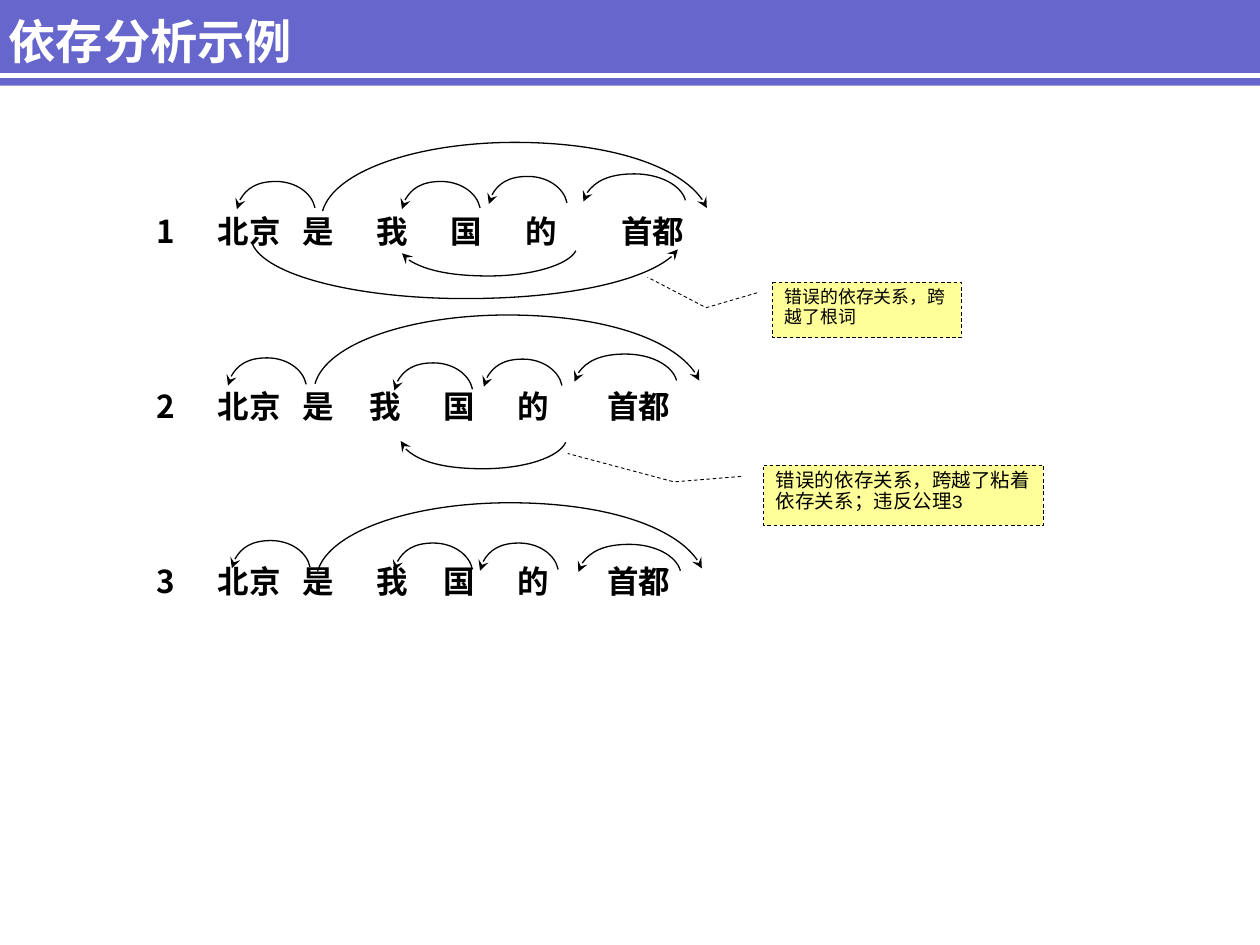
import dataclasses

import pptx
import pptx.dml.color
import pptx.enum.dml
import pptx.enum.shapes
import pptx.enum.text
import pptx.oxml.ns
import pptx.oxml.xmlchemy
import pptx.util
from pptx.util import Inches

qn = pptx.oxml.ns.qn
new_element = pptx.oxml.xmlchemy.OxmlElement
rgb = pptx.dml.color.RGBColor.from_string
MSO_SHAPE = pptx.enum.shapes.MSO_SHAPE


@dataclasses.dataclass
class Theme:
    """Colours, fonts, type sizes and line widths."""
    band: str = "6666CC"
    white: str = "FFFFFF"
    ink: str = "000000"
    note: str = "FFFF99"
    cjk: str = "Noto Sans CJK SC"
    latin: str = "Karla"
    title_size: float = 27
    word_size: float = 18
    arc_width: float = 0.74
    note_width: float = 0.51


theme = Theme()


def add_run(p, text, size, color, font, bold=False):
    """Add one formatted run, with the East Asian font set as well."""
    r = p.add_run()
    r.text = text
    r.font.size = pptx.util.Pt(size)
    r.font.bold = bold
    r.font.name = font
    r.font.color.rgb = rgb(color)
    ea = new_element("a:ea")
    ea.set("typeface", theme.cjk)
    r.font._element.find(qn("a:latin")).addnext(ea)


def add_arc(left, top, width, height, arrow, ends=None):
    """Draw a half-ellipse arrow; ends gives the end heights of one bulging down."""
    y0, y1 = ends or (0.88, 0.84)
    apex, shoulder, centre = (1, 0.64, 0) if ends else (0, 0.36, 1)
    unit = [(0, y0), (0.03, shoulder), (0.25, apex), (0.5, apex),
            (0.75, apex), (0.96, shoulder), (1, y1), (0.5, centre)]
    pts = [(Inches(left + x * width), Inches(top + y * height)) for x, y in unit]
    builder = s.shapes.build_freeform(*pts[0])
    builder.add_line_segments(pts[1:], close=False)
    sp = builder.convert_to_shape()
    sp.shadow.inherit = False
    sp.fill.background()
    sp.line.color.rgb = rgb(theme.ink)
    sp.line.width = pptx.util.Pt(theme.arc_width)

    # The centre only sizes the frame; the six other points become two curves.
    path = next(sp._element.iter(qn("a:path")))
    steps = path.findall(qn("a:lnTo"))
    for step in steps:
        path.remove(step)
    for i in (0, 3):
        curve = new_element("a:cubicBezTo")
        for step in steps[i:i + 3]:
            curve.append(step.find(qn("a:pt")))
        path.append(curve)
    end = new_element("a:headEnd" if arrow == "left" else "a:tailEnd")
    end.set("type", "stealth")
    sp._element.spPr.find(qn("a:ln")).append(end)


prs = pptx.Presentation()
prs.slide_width, prs.slide_height = Inches(10), Inches(7.5)
s = prs.slides.add_slide(prs.slide_layouts[6])

# Title band
band = s.shapes.add_shape(MSO_SHAPE.RECTANGLE, Inches(-0.04), Inches(-0.03),
                          Inches(10.04), Inches(0.71))
band.shadow.inherit = False
band.fill.solid()
band.fill.fore_color.rgb = rgb(theme.band)
band.line.fill.background()

rule = s.shapes.add_connector(pptx.enum.shapes.MSO_CONNECTOR.STRAIGHT,
                              Inches(-0.04), Inches(0.6), Inches(10), Inches(0.6))
rule.line.color.rgb = rgb(theme.white)
rule.line.width = pptx.util.Pt(3)
rule._element.spPr.append(new_element("a:effectLst"))

title = s.shapes.add_textbox(Inches(-0.03), Inches(-0.03), Inches(3.62), Inches(0.71))
tf = title.text_frame
tf.word_wrap = True
tf.vertical_anchor = pptx.enum.text.MSO_ANCHOR.MIDDLE
add_run(tf.paragraphs[0], "依存分析示例", theme.title_size, theme.white, theme.cjk, True)

# Three numbered sentences, each word at its own tab stop
words = ["北京", "是", "我", "国", "的", "首都"]
word_tabs = [
    (0.49, 1.16, 1.75, 2.34, 2.93, 3.69),
    (0.49, 1.16, 1.69, 2.28, 2.87, 3.58),
    (0.49, 1.16, 1.75, 2.28, 2.87, 3.58),
]
body = s.shapes.add_textbox(Inches(1.14), Inches(1.31), Inches(5.91), Inches(3.73))
tf = body.text_frame
tf.word_wrap = True
tf.margin_top = Inches(0.37)
for number, tabs in enumerate(word_tabs, 1):
    p = tf.paragraphs[0] if number == 1 else tf.add_paragraph()
    p.space_before = pptx.util.Pt(0 if number == 1 else 78.5)
    tab_list = new_element("a:tabLst")
    for pos in tabs:
        tab = new_element("a:tab")
        tab.set("pos", str(Inches(pos)))
        tab.set("algn", "l")
        tab_list.append(tab)
    p._p.get_or_add_pPr().append(tab_list)
    add_run(p, "\t".join([str(number)] + words), theme.word_size, theme.ink,
            theme.cjk, True)

# Dependency arcs above the words: width and height by reach
reach = {"near": (0.62, 0.25, "left"), "wide": (0.81, 0.25, "left"),
         "root": (3.05, 0.62, "right")}
upper_arcs = [
    ("near", 1.88, 1.44), ("near", 3.19, 1.44), ("near", 3.88, 1.4),
    ("wide", 4.63, 1.38), ("root", 2.56, 1.13),
    ("near", 1.81, 2.84), ("root", 2.5, 2.5), ("near", 3.13, 2.88),
    ("near", 3.84, 2.85), ("wide", 4.56, 2.81),
    ("near", 1.84, 4.29), ("root", 2.52, 3.99), ("near", 3.13, 4.31),
    ("near", 3.81, 4.31), ("wide", 4.59, 4.32),
]
for kind, left, top in upper_arcs:
    add_arc(left, top, *reach[kind])

# Dependency arcs below the words
lower_arcs = [
    (3.19, 1.94, 1.38, 0.25, "left", (0.28, 0.2)),
    (2, 1.87, 3.38, 0.5, "right", (0.12, 0.22)),
    (3.18, 3.47, 1.31, 0.25, "left", (0.12, 0.16)),
]
for arc in lower_arcs:
    add_arc(*arc)

# Callouts on the wrong dependencies
notes = [
    ("错误的依存关系，跨越了根词", 10.2, (6.13, 2.24, 1.5, 0.44),
     (0.19, -0.08, 0.46, -0.35, -0.09, -0.66)),
    ("错误的依存关系，跨越了粘着依存关系；违反公理3", 11.1, (6.06, 3.69, 2.22, 0.48),
     (0.19, -0.08, 0.28, -0.32, -0.19, -0.7)),
]
for text, size, box, pointer in notes:
    sp = s.shapes.add_shape(MSO_SHAPE.LINE_CALLOUT_2, *map(Inches, box))
    for i, value in enumerate(pointer):
        sp.adjustments[i] = value
    sp.shadow.inherit = False
    sp.fill.solid()
    sp.fill.fore_color.rgb = rgb(theme.note)
    sp.line.color.rgb = rgb(theme.ink)
    sp.line.width = pptx.util.Pt(theme.note_width)
    sp.line.dash_style = pptx.enum.dml.MSO_LINE.DASH
    tf = sp.text_frame
    tf.word_wrap = True
    tf.vertical_anchor = pptx.enum.text.MSO_ANCHOR.TOP
    p = tf.paragraphs[0]
    p.alignment = pptx.enum.text.PP_ALIGN.LEFT
    p.line_spacing = 0.9
    add_run(p, text, size, theme.ink, theme.latin)

prs.save("out.pptx")
